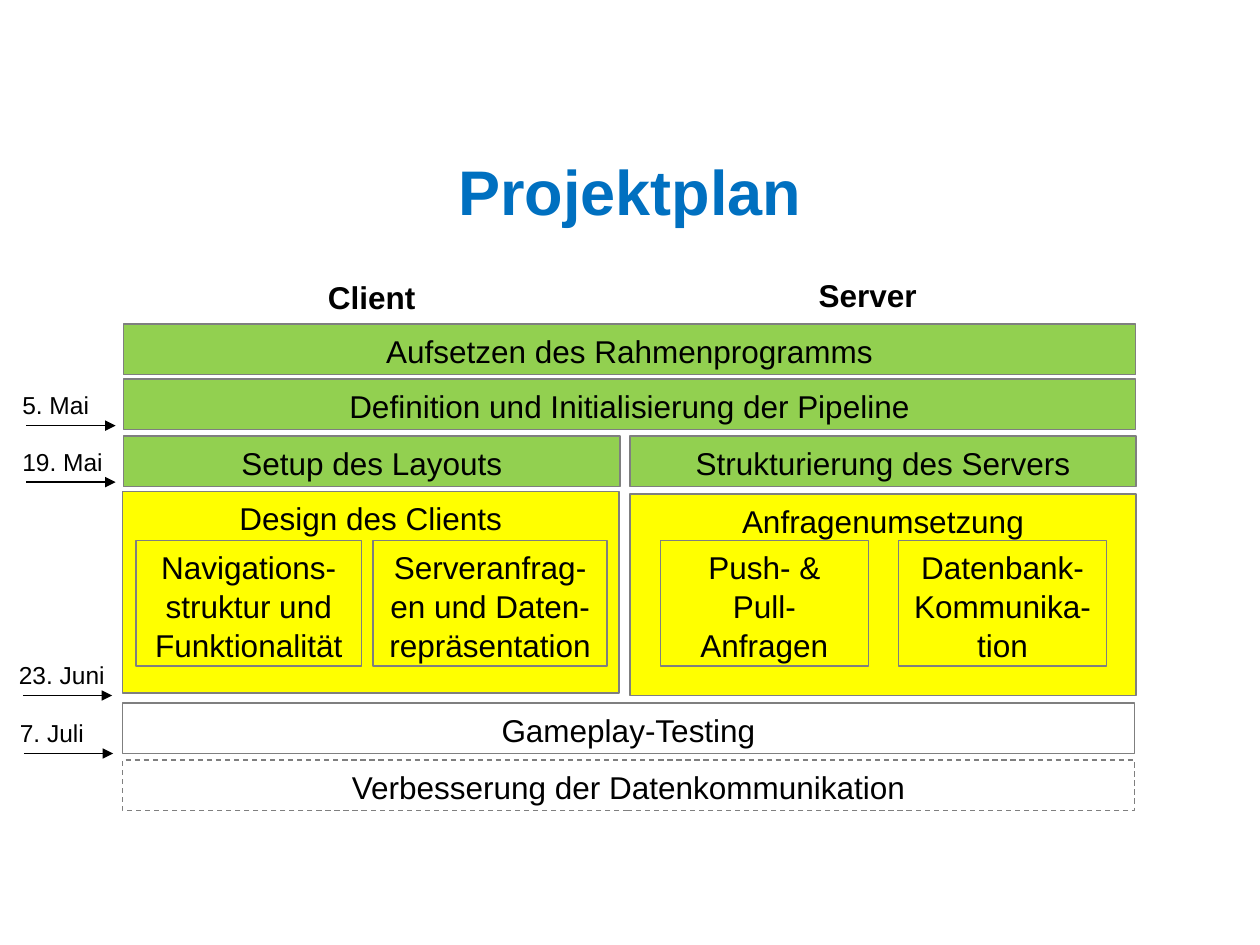
from lxml.etree import SubElement
from pptx import Presentation
from pptx.dml.color import RGBColor
from pptx.enum.dml import MSO_LINE
from pptx.enum.shapes import MSO_CONNECTOR as Connector, MSO_SHAPE as Shape
from pptx.enum.text import MSO_ANCHOR as Anchor, PP_ALIGN as Align
from pptx.oxml.ns import qn
from pptx.util import Cm, Pt

BLUE = RGBColor(0x00, 0x70, 0xC0)
GREEN = RGBColor(0x92, 0xD0, 0x50)
YELLOW = RGBColor(0xFF, 0xFF, 0x00)
GRAY = RGBColor(0x7F, 0x7F, 0x7F)
BLACK = RGBColor(0, 0, 0)

# Content, lengths in cm
TITLE = "Projektplan"
HEADINGS = [("Client", 2.49, 5.46, 10.01), ("Server", 12.09, 5.41, 10.8)]

ROW = 1.02    # height of a one-line bar
PHASE = 4.06  # height of a yellow phase
TASK = 2.54   # height of a task inside a phase
TASK_TOP = 10.89
FULL, LEFT, RIGHT = (2.49, 20.4), (2.49, 10.01), (12.7, 10.2)

# text, (left, width), top, height, fill
BARS = [
    ("Aufsetzen des Rahmenprogramms", FULL, 6.53, ROW, GREEN),
    ("Definition und Initialisierung der Pipeline", FULL, 7.64, ROW, GREEN),
    ("Setup des Layouts", LEFT, 8.79, ROW, GREEN),
    ("Strukturierung des Servers", RIGHT, 8.79, ROW, GREEN),
    ("Design des Clients", (2.47, 10.01), 9.91, PHASE, YELLOW),
    ("Anfragenumsetzung", RIGHT, 9.96, PHASE, YELLOW),
    ("Navigations-struktur und\nFunktionalität", (2.74, 4.55), TASK_TOP, TASK, None),
    ("Serveranfrag-en und Daten-repräsentation", (7.52, 4.72), TASK_TOP, TASK, None),
    ("Push- & Pull-Anfragen", (13.31, 4.2), TASK_TOP, TASK, None),
    ("Datenbank-Kommunika-tion", (18.11, 4.2), TASK_TOP, TASK, None),
    ("Gameplay-Testing", (2.47, 20.4), 14.17, ROW, None),
]
OPTIONAL_BAR = ("Verbesserung der Datenkommunikation", (2.47, 20.4), 15.32, ROW, None)

# text, left, top
DATES = [("5. Mai", 0.2, 7.72), ("19. Mai", 0.2, 8.86),
         ("23. Juni", 0.13, 13.16), ("7. Juli", 0.15, 14.33)]
DATE_WIDTH, DATE_HEIGHT = 2.3, 0.86
ARROW_INDENT, ARROW_LENGTH = 0.33, 1.8


def write(box, text, size=18, color=BLACK, bold=False, align=Align.CENTER,
          anchor=Anchor.TOP, wrap=True):
    frame = box.text_frame
    frame.text = text
    frame.word_wrap = wrap
    frame.vertical_anchor = anchor
    for para in frame.paragraphs:
        para.alignment = align
        para.line_spacing = 1.04
        font = para.font
        font.name, font.size, font.bold = "Arial", Pt(size), bold
        font.color.rgb = color


def add_text(shapes, text, left, top, width, height, **style):
    box = shapes.add_textbox(Cm(left), Cm(top), Cm(width), Cm(height))
    write(box, text, **style)


def add_bar(shapes, text, span, top, height, fill):
    left, width = span
    bar = shapes.add_shape(Shape.RECTANGLE, Cm(left), Cm(top), Cm(width), Cm(height))
    bar.shadow.inherit = False
    if fill is None:
        bar.fill.background()
    else:
        bar.fill.solid()
        bar.fill.fore_color.rgb = fill
    bar.line.color.rgb = GRAY
    bar.line.width = Pt(0.75)
    write(bar, text)
    return bar


def add_arrow(shapes, left, top, length):
    arrow = shapes.add_connector(Connector.STRAIGHT, Cm(left), Cm(top),
                                 Cm(left + length), Cm(top))
    arrow.line.color.rgb = BLACK
    arrow.line.width = Pt(0.75)
    SubElement(arrow.line._get_or_add_ln(), qn("a:tailEnd"), type="triangle")
    SubElement(arrow._element.spPr, qn("a:effectLst"))


deck = Presentation()
deck.slide_width, deck.slide_height = Cm(25.4), Cm(19.05)
page = deck.slides.add_slide(deck.slide_layouts[6])

# Title and column headings
add_text(page.shapes, TITLE, 0.9, 2.13, 23.6, 3.35, size=36, color=BLUE,
         bold=True, anchor=Anchor.MIDDLE)
for text, left, top, width in HEADINGS:
    add_text(page.shapes, text, left, top, width, ROW, bold=True)

# Plan
for bar_data in BARS:
    add_bar(page.shapes, *bar_data)
add_bar(page.shapes, *OPTIONAL_BAR).line.dash_style = MSO_LINE.DASH

# Milestones: a date above its arrow
for text, left, top in DATES:
    group = page.shapes.add_group_shape()
    add_text(group.shapes, text, left, top, DATE_WIDTH, DATE_HEIGHT, size=14,
             align=Align.LEFT, wrap=False)
    add_arrow(group.shapes, left + ARROW_INDENT, top + DATE_HEIGHT, ARROW_LENGTH)

deck.save("out.pptx")
